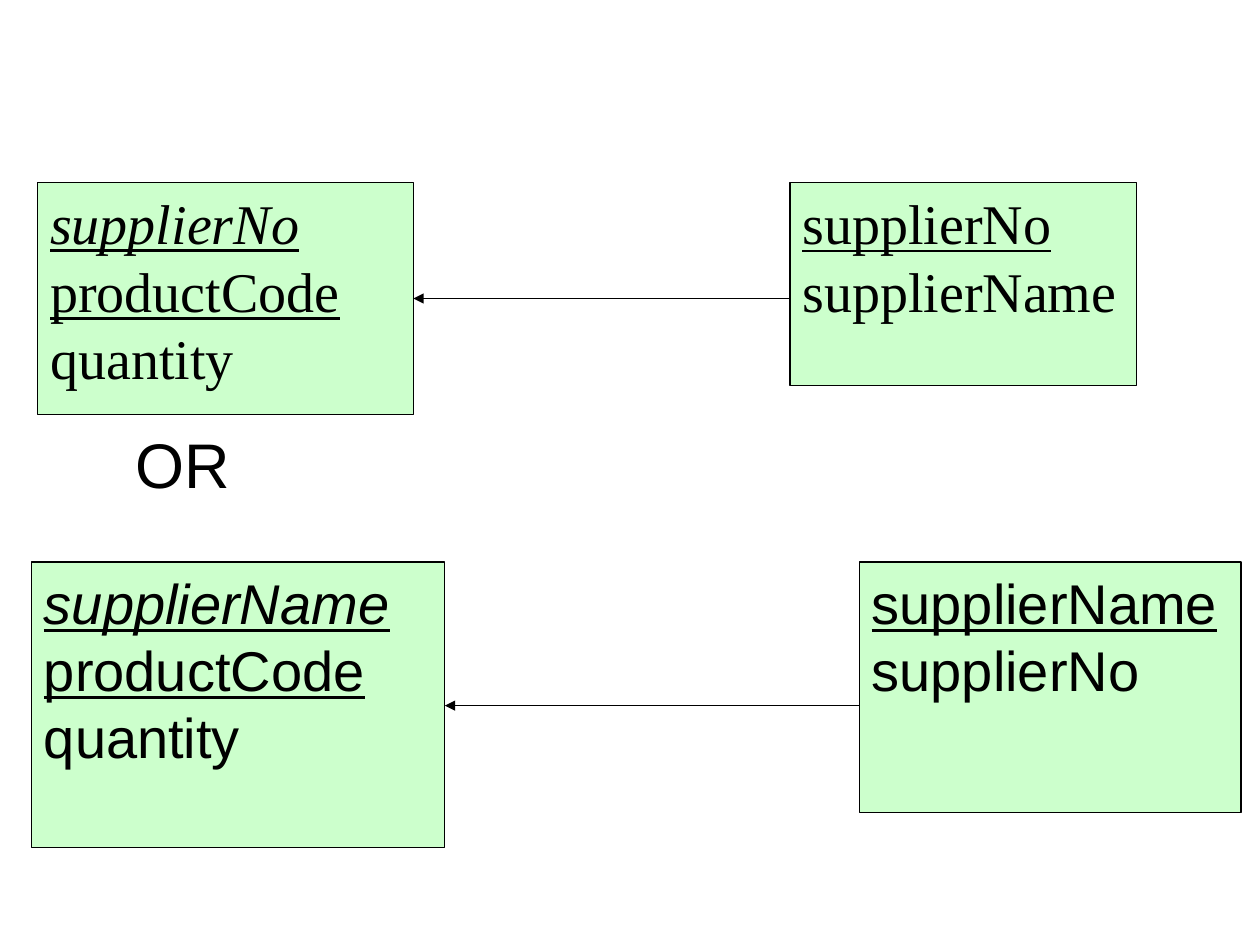
from dataclasses import dataclass

from lxml import etree
from pptx import Presentation
from pptx.dml.color import RGBColor
from pptx.enum.shapes import MSO_CONNECTOR, MSO_SHAPE
from pptx.enum.text import MSO_ANCHOR, PP_ALIGN
from pptx.oxml.ns import qn
from pptx.util import Pt

RECTANGLE = MSO_SHAPE.RECTANGLE
STRAIGHT = MSO_CONNECTOR.STRAIGHT
TOP = MSO_ANCHOR.TOP
LEFT, JUSTIFY = PP_ALIGN.LEFT, PP_ALIGN.JUSTIFY
BLACK, GREEN = "000000", "CCFFCC"
LINE_WIDTH = 0.75
BLANK_LAYOUT = 6


@dataclass(frozen=True)
class Attribute:
    name: str
    key: bool = False
    foreign: bool = False


@dataclass(frozen=True)
class Entity:
    left: float
    top: float
    width: float
    height: float
    attributes: tuple[Attribute, ...]


@dataclass(frozen=True)
class Relation:
    """A one-to-many pair whose arrow points at the many side."""
    many: Entity
    one: Entity
    arrow_y: float
    font: str
    align: PP_ALIGN


PRODUCT_CODE = Attribute("productCode", key=True)
QUANTITY = Attribute("quantity")

RELATIONS = (
    Relation(
        Entity(21.6, 104.4, 214.6, 132.5,
               (Attribute("supplierNo", True, True), PRODUCT_CODE, QUANTITY)),
        Entity(451.4, 104.4, 198, 115.9,
               (Attribute("supplierNo", True), Attribute("supplierName"))),
        170.6, "Times New Roman", JUSTIFY),
    Relation(
        Entity(18, 321.1, 236.2, 163.4,
               (Attribute("supplierName", True, True), PRODUCT_CODE, QUANTITY)),
        Entity(491, 321.1, 218.2, 143.3,
               (Attribute("supplierName", True), Attribute("supplierNo"))),
        403.2, "Arial", LEFT),
)


def color(value: str) -> RGBColor:
    return RGBColor.from_string(value)


def write(paragraph, text: str, *, font: str, size: float,
          italic: bool = False, underline: bool = False, align=LEFT) -> None:
    paragraph.alignment = align
    run = paragraph.add_run()
    run.text = text
    run.font.name = font
    run.font.size = Pt(size)
    run.font.italic = italic
    run.font.underline = underline
    run.font.color.rgb = color(BLACK)


def set_outline(line) -> None:
    line.color.rgb = color(BLACK)
    line.width = Pt(LINE_WIDTH)


def add_entity(slide, entity: Entity, font: str, align) -> None:
    shape = slide.shapes.add_shape(
        RECTANGLE, Pt(entity.left), Pt(entity.top), Pt(entity.width), Pt(entity.height))
    shape.shadow.inherit = False
    shape.fill.solid()
    shape.fill.fore_color.rgb = color(GREEN)
    set_outline(shape.line)
    frame = shape.text_frame
    frame.word_wrap = True
    frame.vertical_anchor = TOP
    for index, attribute in enumerate(entity.attributes):
        paragraph = frame.add_paragraph() if index else frame.paragraphs[0]
        write(paragraph, attribute.name, font=font, size=32, align=align,
              italic=attribute.foreign, underline=attribute.key)


def add_arrow(slide, start_x: float, end_x: float, y: float) -> None:
    connector = slide.shapes.add_connector(STRAIGHT, Pt(start_x), Pt(y), Pt(end_x), Pt(y))
    set_outline(connector.line)
    properties = connector._element.spPr
    etree.SubElement(properties.find(qn("a:ln")), qn("a:tailEnd"), type="triangle")
    etree.SubElement(properties, qn("a:effectLst"))


def add_relation(slide, relation: Relation) -> None:
    many, one = relation.many, relation.one
    for entity in (many, one):
        add_entity(slide, entity, relation.font, relation.align)
    add_arrow(slide, one.left, many.left + many.width, relation.arrow_y)


def add_separator(slide) -> None:
    box = slide.shapes.add_textbox(Pt(70.6), Pt(239.8), Pt(266.4), Pt(50.4))
    box.text_frame.word_wrap = True
    write(box.text_frame.paragraphs[0], "OR", font="Arial", size=36)


def main() -> None:
    presentation = Presentation()
    presentation.slide_width, presentation.slide_height = Pt(720), Pt(540)
    slide = presentation.slides.add_slide(presentation.slide_layouts[BLANK_LAYOUT])
    upper, lower = RELATIONS
    add_relation(slide, upper)
    add_separator(slide)
    add_relation(slide, lower)
    presentation.save("out.pptx")


if __name__ == "__main__":
    main()
